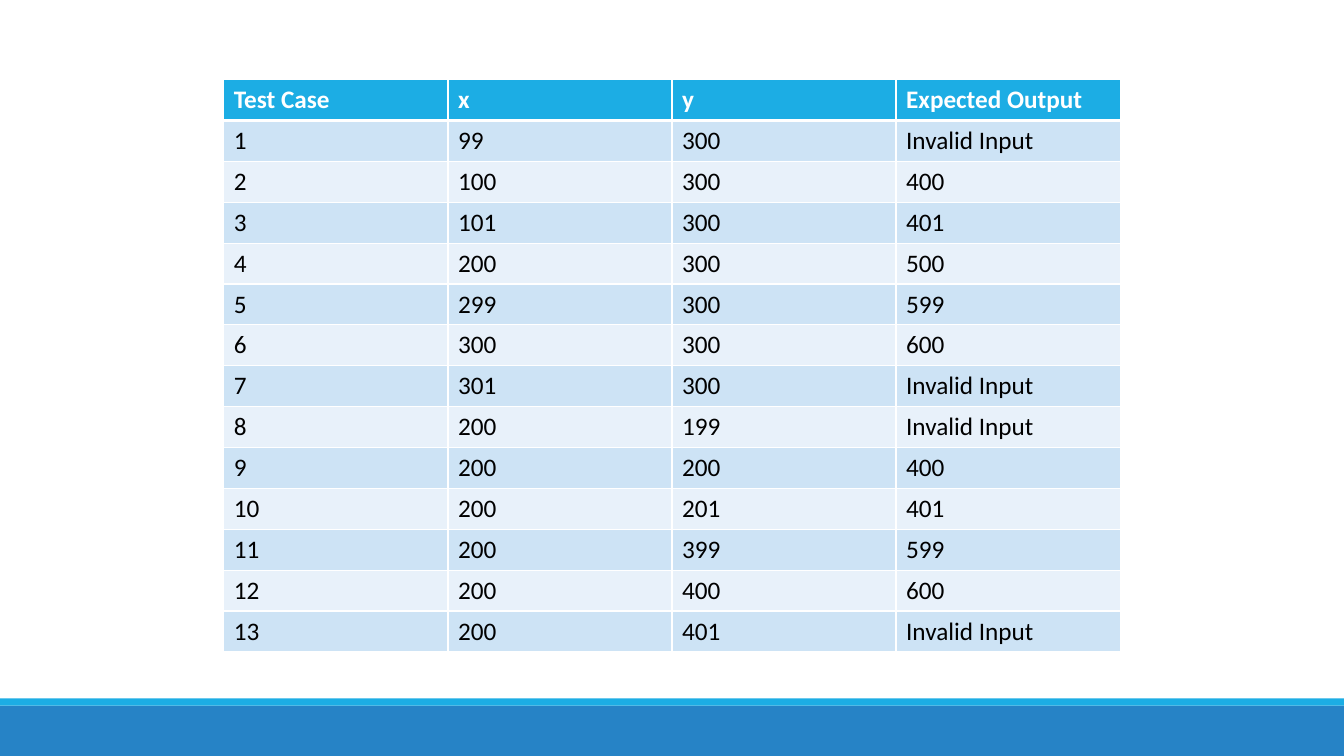
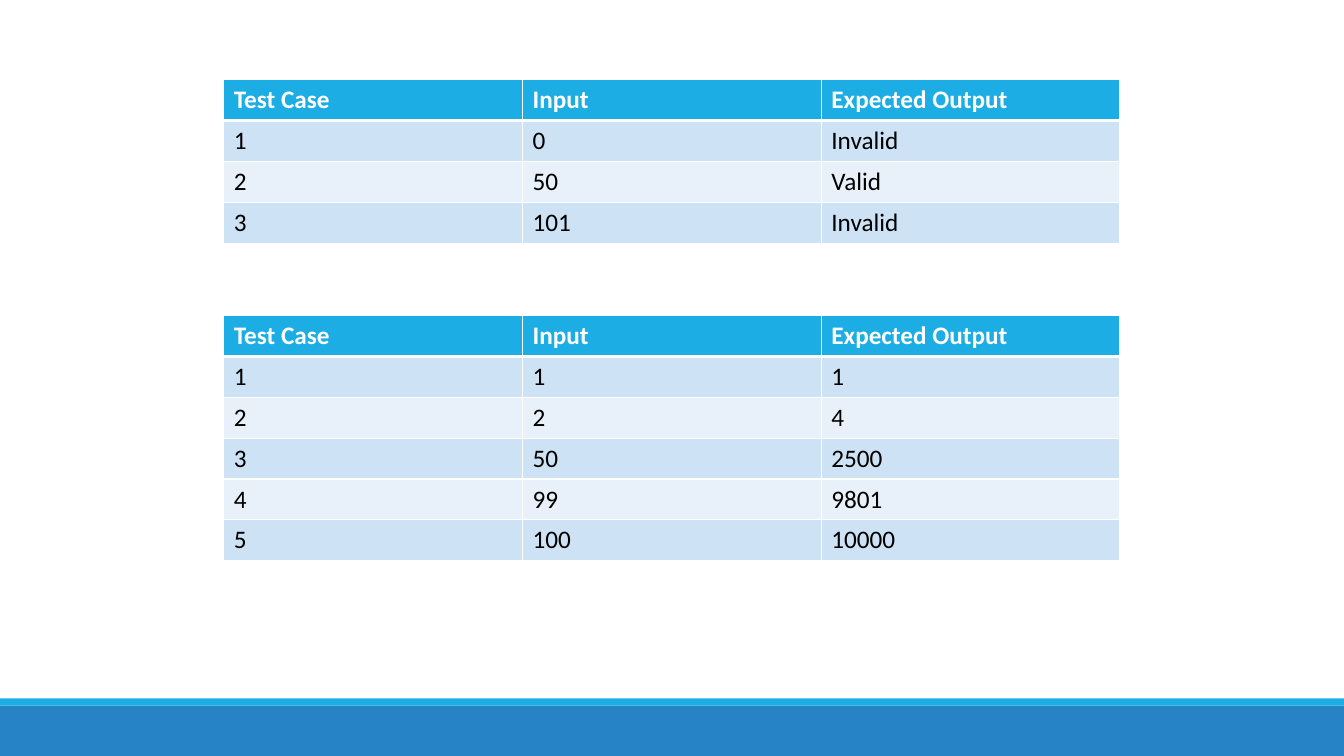
from dataclasses import dataclass

from lxml import etree
from pptx import Presentation
from pptx.dml.color import RGBColor
from pptx.enum.shapes import MSO_SHAPE
from pptx.oxml.ns import qn
from pptx.slide import Slide
from pptx.table import _Cell
from pptx.util import Inches, Pt

# Shared style
WHITE = RGBColor(0xFF, 0xFF, 0xFF)
BLACK = RGBColor(0x00, 0x00, 0x00)
CYAN = RGBColor(0x1C, 0xAD, 0xE4)
BLUE = RGBColor(0x26, 0x83, 0xC6)
ROW_DARK = RGBColor(0xCD, 0xE3, 0xF5)
ROW_LIGHT = RGBColor(0xE8, 0xF1, 0xFA)
RECTANGLE = MSO_SHAPE.RECTANGLE
FONT = "Calibri"
THIN, THICK = 1, 3

SLIDE_WIDTH, SLIDE_HEIGHT = 13.33, 7.5
TABLE_LEFT, TABLE_WIDTH = 2.22, 8.89
BLANK_LAYOUT = 6


@dataclass(frozen=True)
class Band:
    top: float
    height: float
    color: RGBColor


@dataclass(frozen=True)
class TestTable:
    top: float
    height: float
    header: tuple[str, ...]
    rows: tuple[tuple[str, ...], ...]


FOOTER_BANDS = (Band(7, 0.5, BLUE), Band(6.93, 0.07, CYAN))

# Slide contents
INVALID_INPUT = "Invalid Input"
INPUT_HEADER = ("Test Case", "Input", "Expected Output")

SUM_CASES = TestTable(0.79, 5.68, ("Test Case", "x", "y", "Expected Output"), (
    ("1", "99", "300", INVALID_INPUT),
    ("2", "100", "300", "400"),
    ("3", "101", "300", "401"),
    ("4", "200", "300", "500"),
    ("5", "299", "300", "599"),
    ("6", "300", "300", "600"),
    ("7", "301", "300", INVALID_INPUT),
    ("8", "200", "199", INVALID_INPUT),
    ("9", "200", "200", "400"),
    ("10", "200", "201", "401"),
    ("11", "200", "399", "599"),
    ("12", "200", "400", "600"),
    ("13", "200", "401", INVALID_INPUT),
))
VALIDITY_CASES = TestTable(0.79, 1.62, INPUT_HEADER, (
    ("1", "0", "Invalid"),
    ("2", "50", "Valid"),
    ("3", "101", "Invalid"),
))
SQUARE_CASES = TestTable(3.13, 2.43, INPUT_HEADER, (
    ("1", "1", "1"),
    ("2", "2", "4"),
    ("3", "50", "2500"),
    ("4", "99", "9801"),
    ("5", "100", "10000"),
))
SLIDES = ((SUM_CASES,), (VALIDITY_CASES, SQUARE_CASES))


def write_text(cell: _Cell, text: str, *, color: RGBColor, bold: bool = False,
               size: float = 18) -> None:
    run = cell.text_frame.paragraphs[0].add_run()
    run.text = text
    run.font.name = FONT
    run.font.size = Pt(size)
    run.font.bold = bold
    run.font.color.rgb = color


def set_borders(cell: _Cell, *, top: float = THIN, bottom: float = THIN) -> None:
    properties = cell._tc.get_or_add_tcPr()
    for side, width in (("L", THIN), ("R", THIN), ("T", top), ("B", bottom)):
        line = etree.SubElement(properties, qn(f"a:ln{side}"), w=str(Pt(width)))
        fill = etree.SubElement(line, qn("a:solidFill"))
        etree.SubElement(fill, qn("a:srgbClr"), val=str(WHITE))


def fill_cell(cell: _Cell, color: RGBColor) -> None:
    cell.fill.solid()
    cell.fill.fore_color.rgb = color


def add_footer(slide: Slide) -> None:
    for band in FOOTER_BANDS:
        shape = slide.shapes.add_shape(RECTANGLE, 0, Inches(band.top),
                                       Inches(SLIDE_WIDTH), Inches(band.height))
        shape.shadow.inherit = False
        shape.fill.solid()
        shape.fill.fore_color.rgb = band.color
        shape.line.fill.background()


def add_test_table(slide: Slide, content: TestTable) -> None:
    rows = (content.header, *content.rows)
    table = slide.shapes.add_table(
        len(rows), len(content.header), Inches(TABLE_LEFT), Inches(content.top),
        Inches(TABLE_WIDTH), Inches(content.height)).table
    for row_index, row in enumerate(rows):
        is_header = row_index == 0
        row_color = ROW_DARK if row_index % 2 else ROW_LIGHT
        for column_index, text in enumerate(row):
            cell = table.cell(row_index, column_index)
            write_text(cell, text, color=WHITE if is_header else BLACK, bold=is_header)
            # The rule under the header is shared with the first body row
            set_borders(cell, top=THICK if row_index == 1 else THIN,
                        bottom=THICK if is_header else THIN)
            fill_cell(cell, CYAN if is_header else row_color)


def main() -> None:
    presentation = Presentation()
    presentation.slide_width = Inches(SLIDE_WIDTH)
    presentation.slide_height = Inches(SLIDE_HEIGHT)
    for tables in SLIDES:
        slide = presentation.slides.add_slide(presentation.slide_layouts[BLANK_LAYOUT])
        add_footer(slide)
        for content in tables:
            add_test_table(slide, content)
    presentation.save("out.pptx")


if __name__ == "__main__":
    main()
